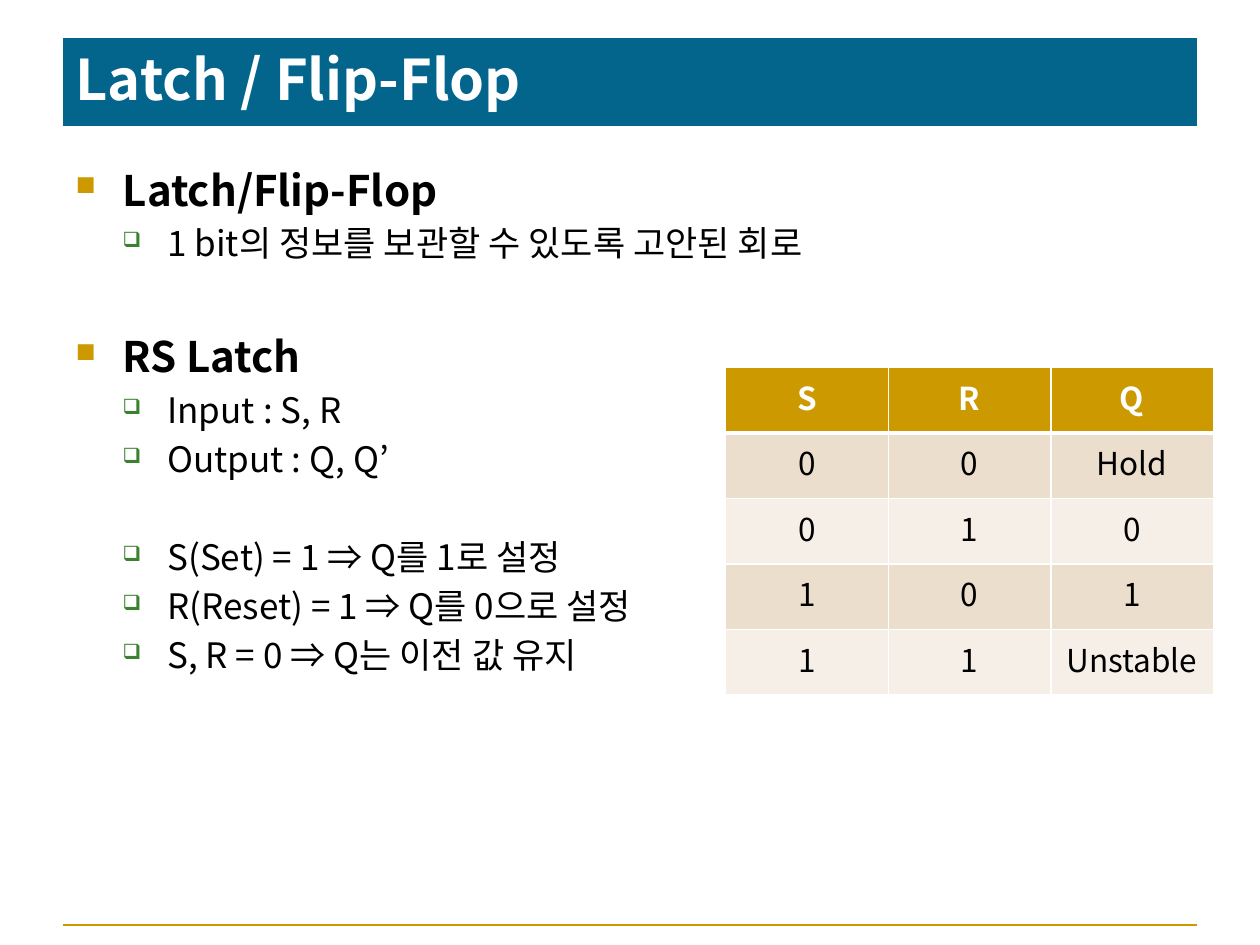
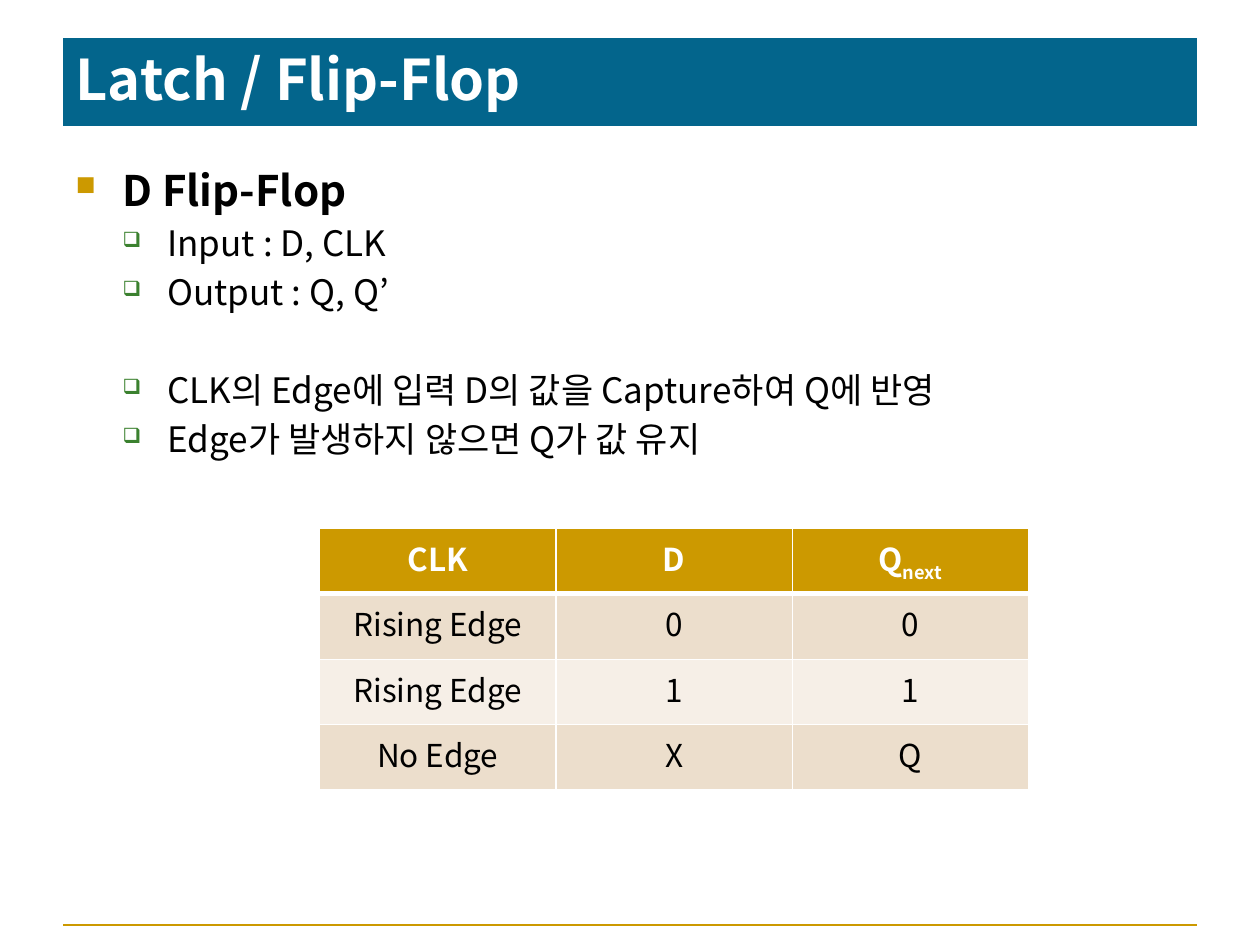
import lxml.etree
import pptx
import pptx.dml.color
import pptx.enum.shapes
import pptx.enum.text
import pptx.oxml.ns
import pptx.util
from pptx.util import Cm, Pt

FONT = "Noto Sans CJK KR"
BULLET_FONT = "Wingdings"
WHITE, BLACK = "FFFFFF", "000000"
BLUE, GOLD, GREEN = "03658C", "CC9900", "3B812F"
BANDS = ["ECDECC", "F6EFE7"]
TITLE_BOX = (Cm(1.27), Cm(0.77), Cm(22.86), Cm(1.77))
BODY_BOX = (Cm(1.27), Cm(3.18), Cm(22.86), Cm(13.84))
ROW_HEIGHT = Cm(1.32)
# One entry per list level: size, bold, left edge, hanging indent, bullet, its colour and percent
# (in the bullet font, n is a filled square and q a shadowed one)
LEVELS = [
    (24, True, Cm(0.95), Cm(0.95), "n", GOLD, 65),
    (20, False, Cm(1.85), Cm(0.9), "q", GREEN, 60),
]
SECTION_GAP = {0: Pt(38.4), 1: Pt(32)}


def color(hex_string):
    return pptx.dml.color.RGBColor.from_string(hex_string)


def add_xml(parent, tag, **attributes):
    return lxml.etree.SubElement(parent, pptx.oxml.ns.qn(tag), attributes)


def format_span(span, size, hex_string, bold):
    span.font.size = Pt(size)
    span.font.bold = bold
    span.font.color.rgb = color(hex_string)
    span.font.name = FONT
    add_xml(span._r.get_or_add_rPr(), "a:ea", typeface=FONT)


def place(shape, box):
    shape.left, shape.top, shape.width, shape.height = box


def fill_title(shape, text, box):
    place(shape, box)
    shape.fill.solid()
    shape.fill.fore_color.rgb = color(BLUE)
    frame = shape.text_frame
    frame.text = text
    frame.auto_size = pptx.enum.text.MSO_AUTO_SIZE.NONE
    frame.vertical_anchor = pptx.enum.text.MSO_ANCHOR.MIDDLE
    para = frame.paragraphs[0]
    para.alignment = pptx.enum.text.PP_ALIGN.LEFT
    para.line_spacing = 0.9
    format_span(para.runs[0], 32, WHITE, True)


def format_item(para, level, starts_section):
    size, bold, left, hanging, bullet, bullet_color, percent = LEVELS[level]
    para.level = level
    para.line_spacing = 1.0
    para.space_before = SECTION_GAP[level] if starts_section else Pt(size * 0.2)
    properties = para._p.get_or_add_pPr()
    properties.set("marL", str(left))
    properties.set("indent", str(-hanging))
    add_xml(add_xml(properties, "a:buClr"), "a:srgbClr", val=bullet_color)
    add_xml(properties, "a:buSzPct", val=str(percent * 1000))
    add_xml(properties, "a:buFont", typeface=BULLET_FONT, charset="2")
    add_xml(properties, "a:buChar", char=bullet)
    span = para.runs[0]
    format_span(span, size, BLACK, bold)
    span._r.get_or_add_rPr().set("kern", "0")


def fill_body(shape, sections, box):
    """Fill the list; each section is a list of (level, text) set off by a gap."""
    place(shape, box)
    frame = shape.text_frame
    frame.auto_size = pptx.enum.text.MSO_AUTO_SIZE.NONE
    frame.vertical_anchor = pptx.enum.text.MSO_ANCHOR.TOP
    for section_index, section in enumerate(sections):
        for item_index, (level, text) in enumerate(section):
            is_first = section_index == item_index == 0
            para = frame.paragraphs[0] if is_first else frame.add_paragraph()
            para.text = text
            format_item(para, level, item_index == 0 and not is_first)


def set_borders(cell, widths):
    properties = cell._tc.get_or_add_tcPr()
    for side, width in widths.items():
        line = add_xml(properties, "a:ln" + side, w=str(Pt(width)))
        add_xml(add_xml(line, "a:solidFill"), "a:srgbClr", val=WHITE)


def fill_cell(cell, text, row_index):
    """Style one cell; text after an underscore becomes a subscript."""
    is_header = row_index == 0
    set_borders(cell, {"L": 1, "R": 1, "T": 1, "B": 3} if is_header
                else {"L": 1, "R": 1, "B": 1})
    cell.fill.solid()
    cell.fill.fore_color.rgb = color(GOLD if is_header else BANDS[(row_index - 1) % 2])
    para = cell.text_frame.paragraphs[0]
    para.alignment = pptx.enum.text.PP_ALIGN.CENTER
    for part_index, part in enumerate(text.split("_")):
        span = para.add_run()
        span.text = part
        format_span(span, 18, WHITE if is_header else BLACK, is_header)
        if part_index:
            span._r.get_or_add_rPr().set("baseline", "-25000")


def add_truth_table(page, rows, left, top, width):
    table = page.shapes.add_table(
        len(rows), len(rows[0]), left, top, width, ROW_HEIGHT * len(rows)).table
    table.horz_banding = False
    for row_index, row in enumerate(rows):
        table.rows[row_index].height = ROW_HEIGHT
        for column_index, text in enumerate(row):
            fill_cell(table.cell(row_index, column_index), text, row_index)


def add_footer_line(page):
    left, width, top = TITLE_BOX[0], TITLE_BOX[2], Cm(18.65)
    line = page.shapes.add_connector(
        pptx.enum.shapes.MSO_CONNECTOR.STRAIGHT, left, top, left + width, top)
    line.line.color.rgb = color(GOLD)
    line.line.width = Pt(1.5)
    add_xml(line._element.spPr, "a:effectLst")


def add_topic_page(deck, sections, rows, table_box):
    page = deck.slides.add_slide(deck.slide_layouts[1])
    add_footer_line(page)
    fill_title(page.shapes.title, "Latch / Flip-Flop", TITLE_BOX)
    fill_body(page.placeholders[1], sections, BODY_BOX)
    add_truth_table(page, rows, *table_box)


def main():
    deck = pptx.Presentation()
    deck.slide_width, deck.slide_height = Cm(25.4), Cm(19.05)
    add_topic_page(
        deck,
        [
            [(0, "Latch/Flip-Flop"),
             (1, "1 bit의 정보를 보관할 수 있도록 고안된 회로")],
            [(0, "RS Latch"),
             (1, "Input : S, R"),
             (1, "Output : Q, Q’")],
            [(1, "S(Set) = 1 ⇒ Q를 1로 설정"),
             (1, "R(Reset) = 1 ⇒ Q를 0으로 설정"),
             (1, "S, R = 0 ⇒ Q는 이전 값 유지")],
        ],
        [("S", "R", "Q"),
         ("0", "0", "Hold"),
         ("0", "1", "0"),
         ("1", "0", "1"),
         ("1", "1", "Unstable")],
        (Cm(14.63), Cm(7.41), Cm(9.83)),
    )
    add_topic_page(
        deck,
        [
            [(0, "D Flip-Flop"),
             (1, "Input : D, CLK"),
             (1, "Output : Q, Q’")],
            [(1, "CLK의 Edge에 입력 D의 값을 Capture하여 Q에 반영"),
             (1, "Edge가 발생하지 않으면 Q가 값 유지")],
        ],
        [("CLK", "D", "Q_next"),
         ("Rising Edge", "0", "0"),
         ("Rising Edge", "1", "1"),
         ("No Edge", "X", "Q")],
        (Cm(6.44), Cm(10.65), Cm(14.3)),
    )
    deck.save("out.pptx")


if __name__ == "__main__":
    main()
